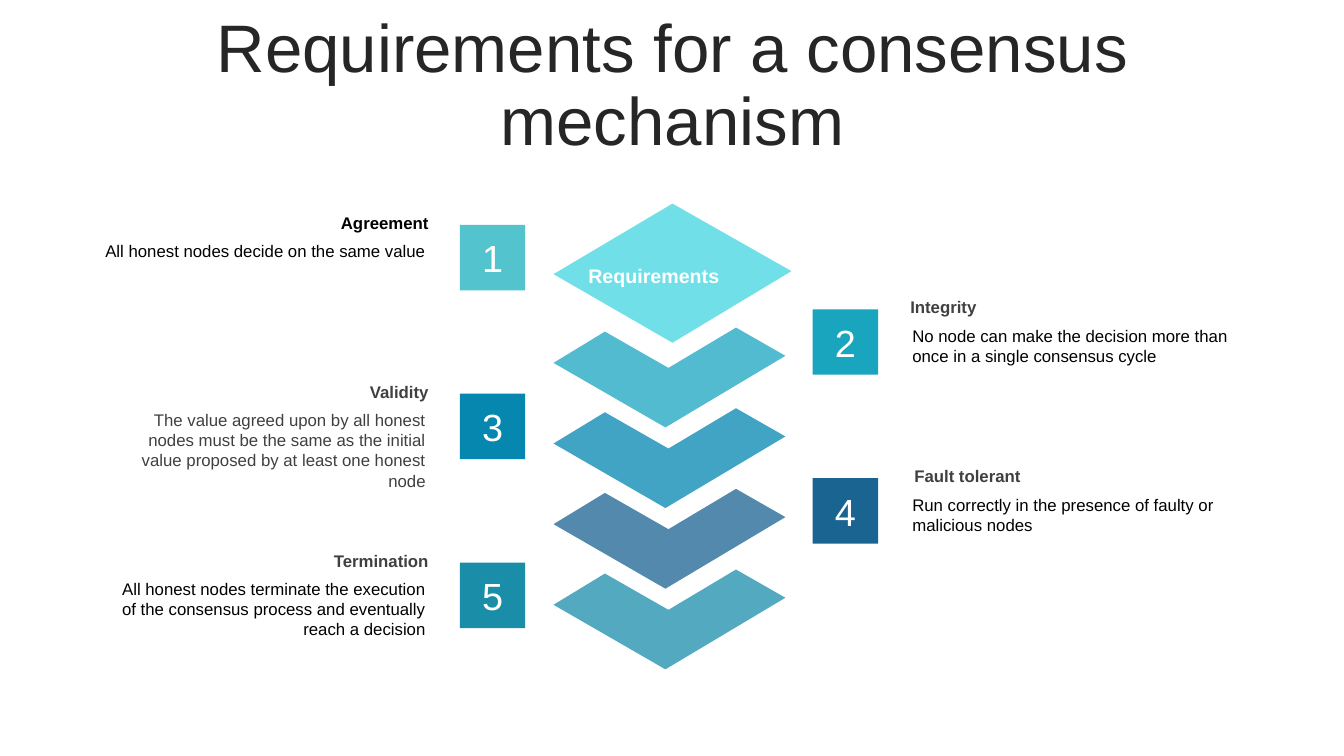
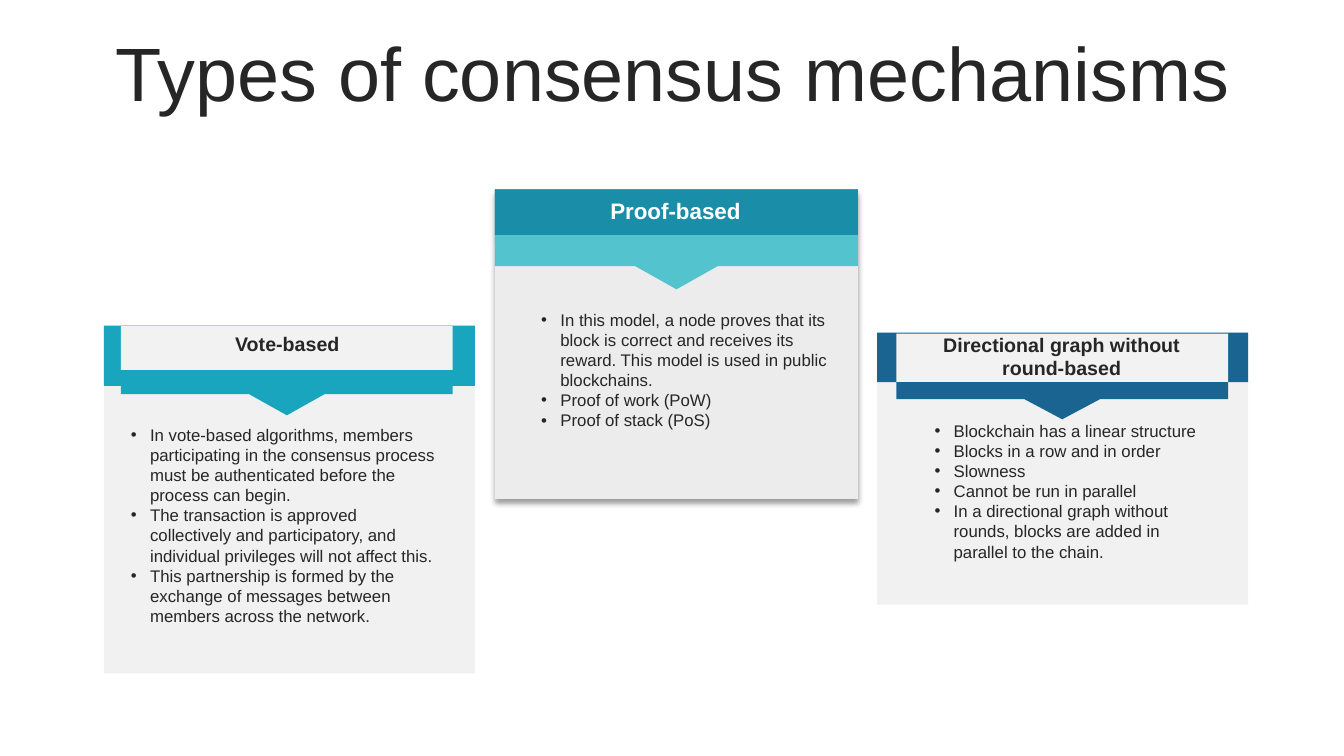
from lxml.etree import SubElement
from pptx import Presentation
from pptx.dml.color import RGBColor
from pptx.enum.shapes import MSO_SHAPE as Shape
from pptx.enum.text import MSO_ANCHOR as Anchor, PP_ALIGN as Align
from pptx.oxml.ns import qn
from pptx.util import Inches, Pt

FONT = "Arial"
COLORS = {
    "ink": "262626", "black": "000000", "grey": "404040", "white": "FFFFFF",
    "panel": "ECECEC", "label": "F2F2F2", "aqua": "53C3CD", "cyan": "19A5BE",
    "blue": "0587AF", "navy": "196491", "teal": "1A8EA9",
    "top": "70DFE7", "layer1": "52BBCF", "layer2": "42A4C5",
    "layer3": "5289AD", "layer4": "53A9C0",
}

# Slide 1: heading, heading colour, text, text colour, tile colour, heading left
REQUIREMENTS = [
    ("Agreement", "black", "All honest nodes decide on the same value", "black", "aqua", 0.91),
    ("Integrity", "grey", "No node can make the decision more than once in a single "
     "consensus cycle", "black", "cyan", 8.93),
    ("Validity", "grey", "The value agreed upon by all honest nodes must be the same as the "
     "initial value proposed by at least one honest node", "grey", "blue", 0.91),
    ("Fault tolerant", "grey", "Run correctly in the presence of faulty or malicious nodes",
     "black", "navy", 8.97),
    ("Termination", "grey", "All honest nodes terminate the execution of the consensus process "
     "and eventually reach a decision", "black", "teal", 0.91),
]
TILE, TILE_TOP, TILE_STEP = 0.65, 2.23, 0.838
TILE_LEFT, TEXT_LEFT = (4.56, 8.06), (0.93, 8.95)

DIAMOND = [(6.67, 2.02), (7.85, 2.69), (6.67, 3.4), (5.49, 2.72)]
CHEVRON = [(6, 3.29), (6.63, 3.65), (7.3, 3.25), (7.79, 3.53), (6.6, 4.24), (5.49, 3.6)]
LAYERS, LAYER_STEP = ["layer1", "layer2", "layer3", "layer4"], 0.8

# Slide 2: one dict for each card; banner is left, top, width, shoulder, tip, half tip width
CARDS = [
    dict(title="Vote-based", title_at=(1.44, 3.24, 2.82, 0.34), size=14, ink="ink",
         panel=(1.03, 3.23, 3.68, 3.45), band=0.6, color="cyan", alpha=70,
         banner=(1.2, 3.23, 3.29, 0.68, 0.89, 0.375), label=0.44, label_color="label",
         text_at=(1.2, 4.16, 3.25, 2.12), points=[
             "In vote-based algorithms, members participating in the consensus process must "
             "be authenticated before the process can begin.",
             "The transaction is approved collectively and participatory, and individual "
             "privileges will not affect this.",
             "This partnership is formed by the exchange of messages between members across "
             "the network."]),
    dict(title="Directional graph without round-based", title_at=(9.12, 3.25, 2.82, 0.57),
         size=14, ink="ink",
         panel=(8.7, 3.3, 3.68, 2.7), band=0.49, color="navy", alpha=70,
         banner=(8.89, 3.31, 3.29, 0.65, 0.85, 0.375), label=0.48, label_color="label",
         text_at=(9.17, 4.12, 2.85, 1.51), points=[
             "Blockchain has a linear structure",
             "Blocks in a row and in order",
             "Slowness",
             "Cannot be run in parallel",
             "In a directional graph without rounds, blocks are added in parallel to the "
             "chain."]),
    dict(title="Proof-based", title_at=(5.52, 1.9, 2.36, 0.37), size=16, ink="white",
         panel=(4.91, 1.88, 3.6, 3.07), band=0.55, color="aqua", alpha=None,
         banner=(4.91, 1.88, 3.6, 0.76, 0.99, 0.41), label=0.45, label_color="teal",
         text_at=(5.27, 3.02, 3.07, 1.31), points=[
             "In this model, a node proves that its block is correct and receives its reward. "
             "This model is used in public blockchains.",
             "Proof of work (PoW)",
             "Proof of stack (PoS)"]),
]


def rgb(name):
    return RGBColor.from_string(COLORS[name])


def paint(sp, color):
    sp.shadow.inherit = False
    sp.fill.solid()
    sp.fill.fore_color.rgb = rgb(color)
    sp.line.fill.background()
    return sp


def add_rect(slide, at, color):
    return paint(slide.shapes.add_shape(Shape.RECTANGLE, *map(Inches, at)), color)


def add_outline(slide, points, color):
    pts = [(Inches(x), Inches(y)) for x, y in points]
    builder = slide.shapes.build_freeform(*pts[0])
    builder.add_line_segments(pts[1:], close=True)
    return paint(builder.convert_to_shape(), color)


def write(sp, lines, color, anchor=Anchor.TOP, align=Align.LEFT, spacing=None,
          bullets=False, **font):
    tf = sp.text_frame
    tf.word_wrap = True
    tf.vertical_anchor = anchor
    for i, line in enumerate(lines):
        p = tf.add_paragraph() if i else tf.paragraphs[0]
        p.alignment = align
        if spacing:
            p.line_spacing = spacing
        if bullets:
            pPr = p._p.get_or_add_pPr()
            pPr.set("marL", str(Inches(0.19)))
            pPr.set("indent", str(-Inches(0.19)))
            SubElement(pPr, qn("a:buFont"), typeface=FONT)
            SubElement(pPr, qn("a:buChar"), char="•")
        r = p.add_run()
        r.text = line
        for key, value in {"name": FONT, **font}.items():
            setattr(r.font, key, value)
        r.font.color.rgb = rgb(color)


def add_text(slide, at, lines, color, **style):
    write(slide.shapes.add_textbox(*map(Inches, at)), lines, color, **style)


def add_slide(prs, title, top, size):
    slide = prs.slides.add_slide(prs.slide_layouts[6])
    add_text(slide, (0.34, top, 12.66, 0.79), [title], "ink", size=Pt(size),
             anchor=Anchor.MIDDLE, align=Align.CENTER, spacing=0.9)
    return slide


def add_requirement(slide, i, heading, heading_color, text, text_color, color, left):
    side = i % 2
    top = TILE_TOP + i * TILE_STEP
    align = Align.LEFT if side else Align.RIGHT
    tile = add_rect(slide, (TILE_LEFT[side], top, TILE, TILE), color)
    write(tile, [str(i + 1)], "white", size=Pt(27), anchor=Anchor.MIDDLE, align=Align.CENTER)
    add_text(slide, (left, top - 0.17, 3.44, 0.3), [heading], heading_color,
             size=Pt(12), bold=True, align=align)
    add_text(slide, (TEXT_LEFT[side], top + 0.11, 3.39, 0.71), [text], text_color,
             size=Pt(12), align=align)


def add_card(slide, card):
    x, y, w, h = card["panel"]
    panel = add_rect(slide, (x, y, w, h), "panel")
    if card["alpha"]:
        fill = panel._element.spPr.find(qn("a:solidFill"))
        SubElement(fill[0], qn("a:alpha"), val=str(card["alpha"] * 1000))
    else:
        effects = panel._element.spPr.find(qn("a:effectLst"))
        shadow = SubElement(effects, qn("a:outerShdw"), blurRad=str(Pt(4)), dist=str(Pt(3)),
                            dir="5400000", algn="t", rotWithShape="0")
        shade = SubElement(shadow, qn("a:srgbClr"), val=COLORS["black"])
        SubElement(shade, qn("a:alpha"), val="40000")
    add_rect(slide, (x, y, w, card["band"]), card["color"])

    # Banner with a pointer, its label and the text
    left, top, width, shoulder, tip, half = card["banner"]
    mid, right = left + width / 2, left + width
    low = top + shoulder
    add_outline(slide, [(left, top), (right, top), (right, low), (mid + half, low),
                        (mid, top + tip), (mid - half, low), (left, low)], card["color"])
    add_rect(slide, (left, top, width, card["label"]), card["label_color"])
    add_text(slide, card["title_at"], [card["title"]], card["ink"], size=Pt(card["size"]),
             bold=True, anchor=Anchor.MIDDLE, align=Align.CENTER)
    add_text(slide, card["text_at"], card["points"], "ink", size=Pt(12), bullets=True)


def main():
    prs = Presentation()
    prs.slide_width, prs.slide_height = Inches(13.33), Inches(7.5)

    # Requirements around a stack of layers
    slide = add_slide(prs, "Requirements for a consensus mechanism", 0.47, 48)
    for i, item in enumerate(REQUIREMENTS):
        add_requirement(slide, i, *item)
    for i, color in enumerate(LAYERS):
        add_outline(slide, [(x, y + i * LAYER_STEP) for x, y in CHEVRON], color)
    add_outline(slide, DIAMOND, "top")
    add_text(slide, (5.71, 2.57, 1.55, 0.34), ["Requirements"], "white", size=Pt(14),
             bold=True, align=Align.CENTER)

    # Three cards
    slide = add_slide(prs, "Types of consensus mechanisms", 0.37, 54)
    for card in CARDS:
        add_card(slide, card)

    prs.save("out.pptx")


if __name__ == "__main__":
    main()
